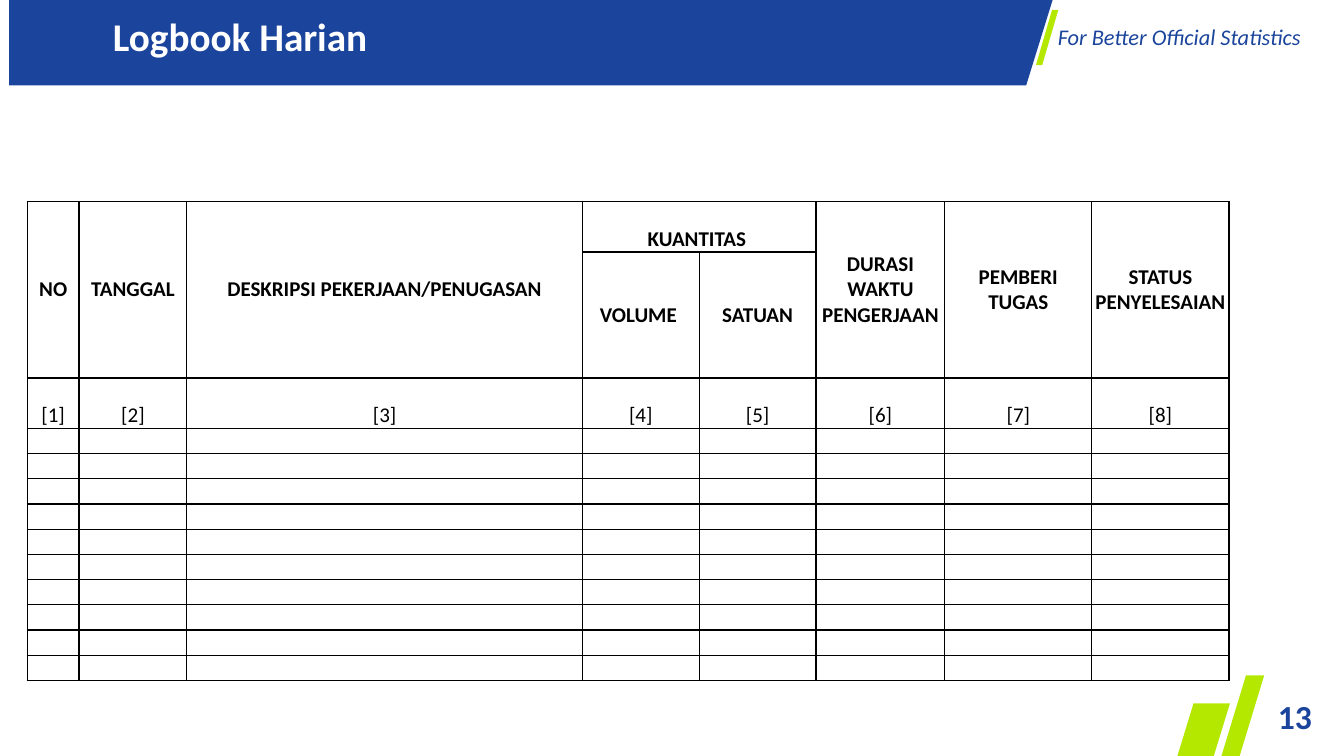
from dataclasses import dataclass

from lxml import etree
from pptx import Presentation
from pptx import util as u
from pptx.dml.color import RGBColor
from pptx.enum import shapes, text
from pptx.oxml import ns

MIDDLE, BOTTOM = text.MSO_ANCHOR.MIDDLE, text.MSO_ANCHOR.BOTTOM
LEFT, CENTER = text.PP_ALIGN.LEFT, text.PP_ALIGN.CENTER


@dataclass(frozen=True)
class Theme:
    font: str = "Calibri"
    blue: str = "1B449C"
    lime: str = "B4E800"
    white: str = "FFFFFF"
    black: str = "000000"
    title: int = 28
    number: int = 24
    tagline: int = 16
    cell: int = 15
    empty: int = 12


class SlideWriter:
    def __init__(self, slide, theme):
        self.slide = slide
        self.theme = theme

    def style(self, paragraph, size, color, bold=False, italic=False, align=LEFT):
        paragraph.alignment = align
        font = paragraph.font
        font.name, font.size = self.theme.font, u.Pt(size)
        font.bold, font.italic = bold, italic
        font.color.rgb = RGBColor.from_string(color)

    def paint(self, shape, color):
        shape.shadow.inherit = False
        shape.fill.solid()
        shape.fill.fore_color.rgb = RGBColor.from_string(color)
        shape.line.fill.background()

    def polygon(self, corners, color):
        start, *others = [(u.Pt(x), u.Pt(y)) for x, y in corners]
        outline = self.slide.shapes.build_freeform(*start)
        outline.add_line_segments(others, close=True)
        self.paint(outline.convert_to_shape(), color)

    def slash(self, box, slant, color):
        bar = self.slide.shapes.add_shape(
            shapes.MSO_SHAPE.PARALLELOGRAM, *map(u.Pt, box))
        bar.adjustments[0] = slant
        self.paint(bar, color)

    def title(self, wording, box):
        heading = self.slide.shapes.title
        heading.element.getparent().append(heading.element)
        heading.left, heading.top, heading.width, heading.height = map(u.Pt, box)
        frame = heading.text_frame
        frame.text = wording
        frame.auto_size = text.MSO_AUTO_SIZE.NONE
        frame.vertical_anchor = text.MSO_ANCHOR.TOP
        self.style(frame.paragraphs[0], self.theme.title, self.theme.white, bold=True)

    def label(self, wording, box, size, anchor=text.MSO_ANCHOR.TOP, **look):
        frame = self.slide.shapes.add_textbox(*map(u.Pt, box)).text_frame
        frame.word_wrap = True
        frame.vertical_anchor = anchor
        frame.text = wording
        self.style(frame.paragraphs[0], size, self.theme.blue, **look)

    def border(self, cell):
        properties = cell._tc.get_or_add_tcPr()
        for side in ("a:lnL", "a:lnR", "a:lnT", "a:lnB"):
            edge = etree.SubElement(properties, ns.qn(side), w=str(u.Pt(1)))
            fill = etree.SubElement(edge, ns.qn("a:solidFill"))
            etree.SubElement(fill, ns.qn("a:srgbClr"), val=self.theme.black)

    def table(self, left, top, widths, heights):
        grid = self.slide.shapes.add_table(
            len(heights), len(widths), u.Pt(left), u.Pt(top),
            u.Pt(sum(widths)), u.Pt(sum(heights))).table
        grid.first_row = grid.horz_banding = False
        for column, width in zip(grid.columns, widths):
            column.width = u.Pt(width)
        for row, height in zip(grid.rows, heights):
            row.height = u.Pt(height)
        for cell in grid.iter_cells():
            cell.margin_left = cell.margin_right = u.Pt(1.5)
            cell.margin_top = cell.margin_bottom = 0
            self.border(cell)
            cell.fill.background()
            self.style(cell.text_frame.paragraphs[0], self.theme.empty, self.theme.black)
        return grid

    def cell(self, cell, wording, anchor=MIDDLE, bold=True):
        cell.text = wording
        cell.vertical_anchor = anchor
        self.style(cell.text_frame.paragraphs[0], self.theme.cell,
                   self.theme.black, bold=bold, align=CENTER)


def write_logbook(writer):
    widths = [37, 77, 282.5, 83.5, 83.5, 92, 105, 98]
    logbook = writer.table(19.5, 144, widths, [36, 90, 36] + [18] * 10)
    headings = {0: "NO", 1: "TANGGAL", 2: "DESKRIPSI PEKERJAAN/PENUGASAN",
                5: "DURASI WAKTU PENGERJAAN", 6: "PEMBERI TUGAS",
                7: "STATUS PENYELESAIAN"}
    for column, heading in headings.items():
        logbook.cell(0, column).merge(logbook.cell(1, column))
        writer.cell(logbook.cell(0, column), heading)
    logbook.cell(0, 3).merge(logbook.cell(0, 4))
    writer.cell(logbook.cell(0, 3), "KUANTITAS ", BOTTOM)
    for column, heading in enumerate(("VOLUME ", "SATUAN"), start=3):
        writer.cell(logbook.cell(1, column), heading)
    for column in range(len(widths)):
        writer.cell(logbook.cell(2, column), f"[{column + 1}]", BOTTOM, bold=False)


def main():
    """Build the daily logbook slide."""
    deck = Presentation()
    deck.slide_width, deck.slide_height = u.Pt(960), u.Pt(540)
    theme = Theme()
    writer = SlideWriter(deck.slides.add_slide(deck.slide_layouts[5]), theme)

    writer.polygon([(6.5, -2), (752.5, -2), (733, 61), (6.5, 61)], theme.blue)
    writer.title("Logbook Harian", (73.5, 5, 631, 41))
    writer.polygon([(890, 482.5), (903, 482.5), (885.5, 540), (872.5, 540)], theme.lime)
    writer.label("13", (903.5, 497, 43, 29), theme.number,
                 anchor=MIDDLE, bold=True, align=CENTER)
    writer.polygon([(852.5, 502.5), (878.5, 502.5), (867, 540), (841, 540)], theme.lime)
    writer.label("For Better Official Statistics", (748.5, 13, 202.5, 26.5),
                 theme.tagline, italic=True)
    writer.slash((740, 7, 16, 39.5), 0.72, theme.lime)
    write_logbook(writer)
    deck.save("out.pptx")


if __name__ == "__main__":
    main()
